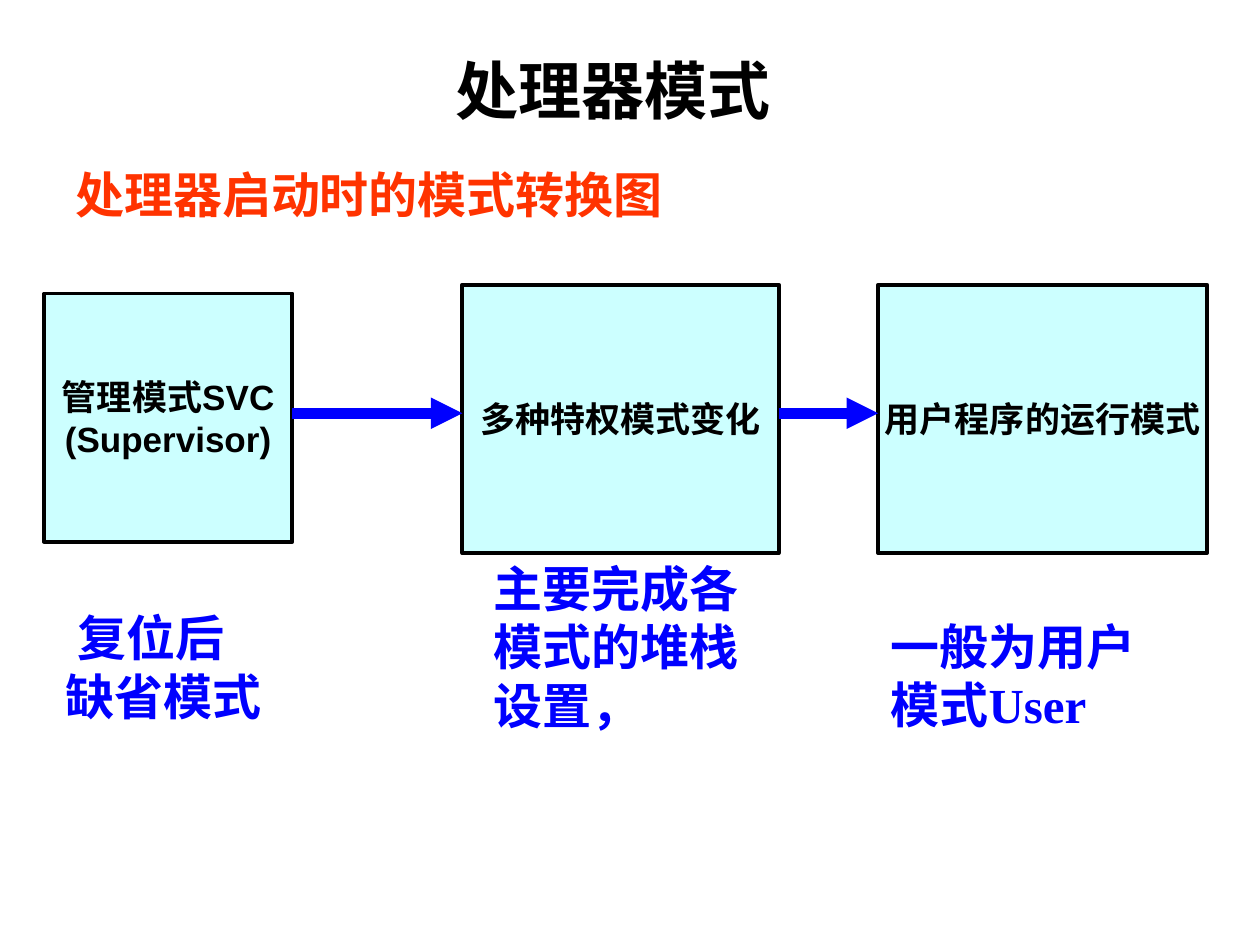
from dataclasses import dataclass

from lxml.etree import SubElement
from pptx import Presentation
from pptx.dml.color import RGBColor
from pptx.enum.shapes import MSO_CONNECTOR, MSO_SHAPE
from pptx.enum.text import MSO_ANCHOR, PP_ALIGN
from pptx.oxml.ns import qn
from pptx.util import Inches, Pt


@dataclass(frozen=True)
class Theme:
    black: RGBColor = RGBColor(0x00, 0x00, 0x00)
    heading: RGBColor = RGBColor(0xFF, 0x33, 0x00)
    accent: RGBColor = RGBColor(0x00, 0x00, 0xFF)
    box_fill: RGBColor = RGBColor(0xCC, 0xFF, 0xFF)
    sans: str = "Arial"
    serif: str = "Times New Roman"
    title_size: int = 36
    note_size: int = 28
    box_size: int = 20


THEME = Theme()

# Each stage: box, lines in the box, note area, lines of the note as (text, indent)
STAGES = [
    ((0.35, 2.33, 1.97, 1.97), ["管理模式SVC", "(Supervisor)"],
     (0.42, 4.77, 1.81, 1.04), [("复位后", 0.1), ("缺省模式", 0)]),
    ((3.67, 2.26, 2.51, 2.13), ["多种特权模式变化"],
     (3.82, 4.38, 2.21, 1.5), [("主要完成各模式的堆栈设置，", 0)]),
    ((6.97, 2.26, 2.61, 2.13), ["用户程序的运行模式"],
     (6.97, 4.84, 2.52, 1.04), [("一般为用户模式User", 0)]),
]
ARROW_Y = 3.28


def write_lines(tf, lines, font, size, color, align=PP_ALIGN.LEFT):
    """Fill a text frame with one paragraph per (text, indent in inches)."""
    for i, (text, indent) in enumerate(lines):
        p = tf.paragraphs[0] if i == 0 else tf.add_paragraph()
        p.alignment = align
        if indent:
            p._p.get_or_add_pPr().set("marL", str(Inches(indent)))
        r = p.add_run()
        r.text = text
        r.font.name = font
        r.font.size = Pt(size)
        r.font.bold = True
        r.font.color.rgb = color


def add_text(s, box, lines, font, size, color, anchor=MSO_ANCHOR.TOP):
    tf = s.shapes.add_textbox(*map(Inches, box)).text_frame
    tf.word_wrap = True
    tf.vertical_anchor = anchor
    write_lines(tf, lines, font, size, color)


def add_mode_box(s, box, lines):
    sp = s.shapes.add_shape(MSO_SHAPE.RECTANGLE, *map(Inches, box))
    sp.shadow.inherit = False
    sp.fill.solid()
    sp.fill.fore_color.rgb = THEME.box_fill
    sp.line.color.rgb = THEME.black
    sp.line.width = Pt(2.25)
    tf = sp.text_frame
    tf.word_wrap = False
    tf.vertical_anchor = MSO_ANCHOR.MIDDLE
    write_lines(tf, [(line, 0) for line in lines], THEME.sans,
                THEME.box_size, THEME.black, PP_ALIGN.CENTER)


def add_arrow(s, x1, x2, y):
    c = s.shapes.add_connector(MSO_CONNECTOR.STRAIGHT, Inches(x1), Inches(y),
                               Inches(x2), Inches(y))
    c.line.color.rgb = THEME.accent
    c.line.width = Pt(6)
    SubElement(c.line._get_or_add_ln(), qn("a:tailEnd"), type="triangle")
    SubElement(c._element.spPr, qn("a:effectLst"))


def add_headings(s):
    add_text(s, (0.33, 0.25, 7.83, 0.92), [("处理器模式", 3.19)], THEME.serif,
             THEME.title_size, THEME.black, MSO_ANCHOR.MIDDLE)
    add_text(s, (0.5, 1.26, 7.64, 0.57), [("处理器启动时的模式转换图", 0)],
             THEME.sans, THEME.note_size, THEME.heading)


def add_flow(s):
    """Draw the stages with their notes, then an arrow across each gap."""
    for box, lines, note_box, note in STAGES:
        add_mode_box(s, box, lines)
        add_text(s, note_box, note, THEME.serif, THEME.note_size, THEME.accent)
    boxes = [stage[0] for stage in STAGES]
    for (left, _, width, _), following in zip(boxes, boxes[1:]):
        add_arrow(s, left + width, following[0], ARROW_Y)


def main():
    prs = Presentation()
    prs.slide_width, prs.slide_height = Inches(10), Inches(7.5)
    s = prs.slides.add_slide(prs.slide_layouts[6])
    add_headings(s)
    add_flow(s)
    prs.save("out.pptx")


if __name__ == "__main__":
    main()
